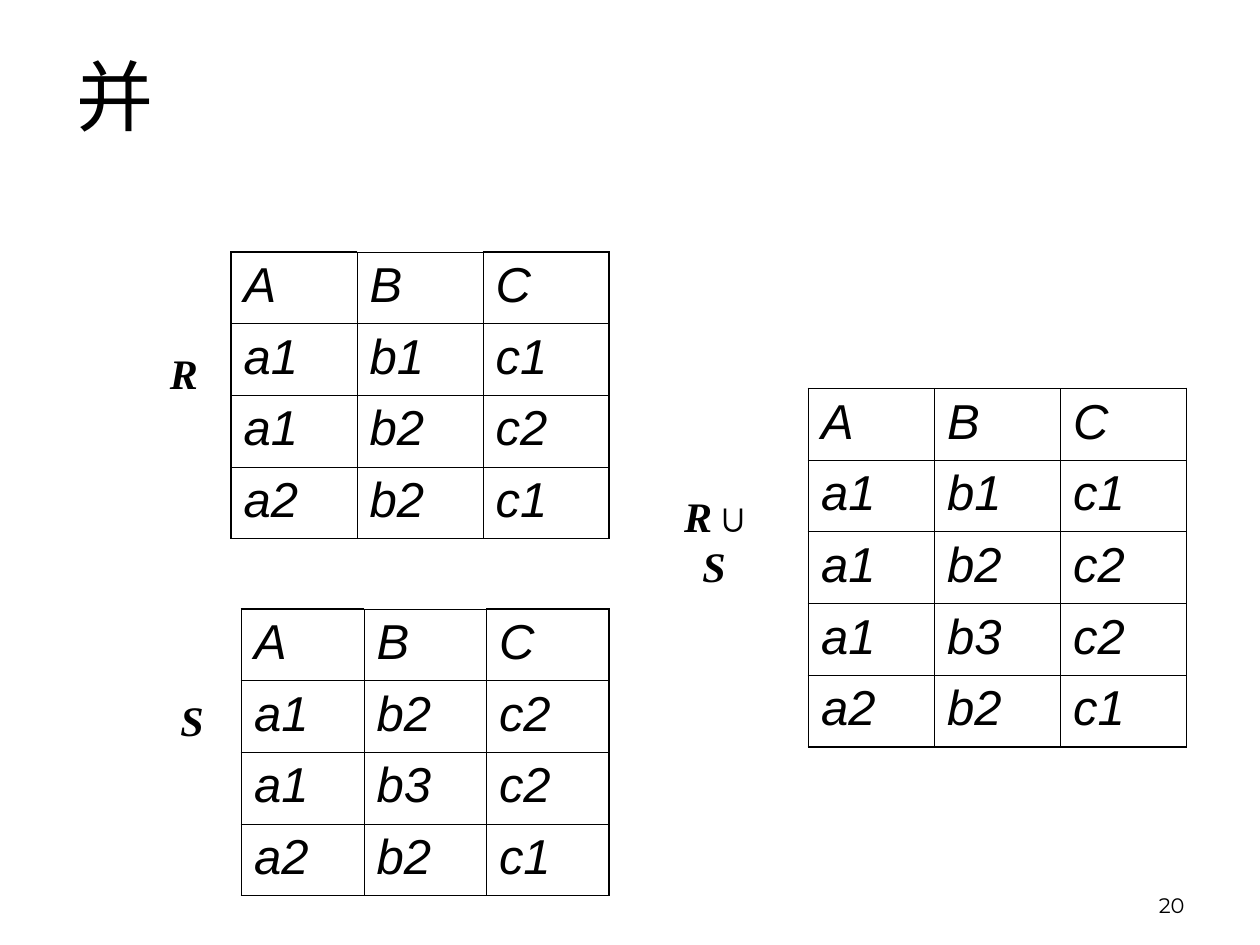
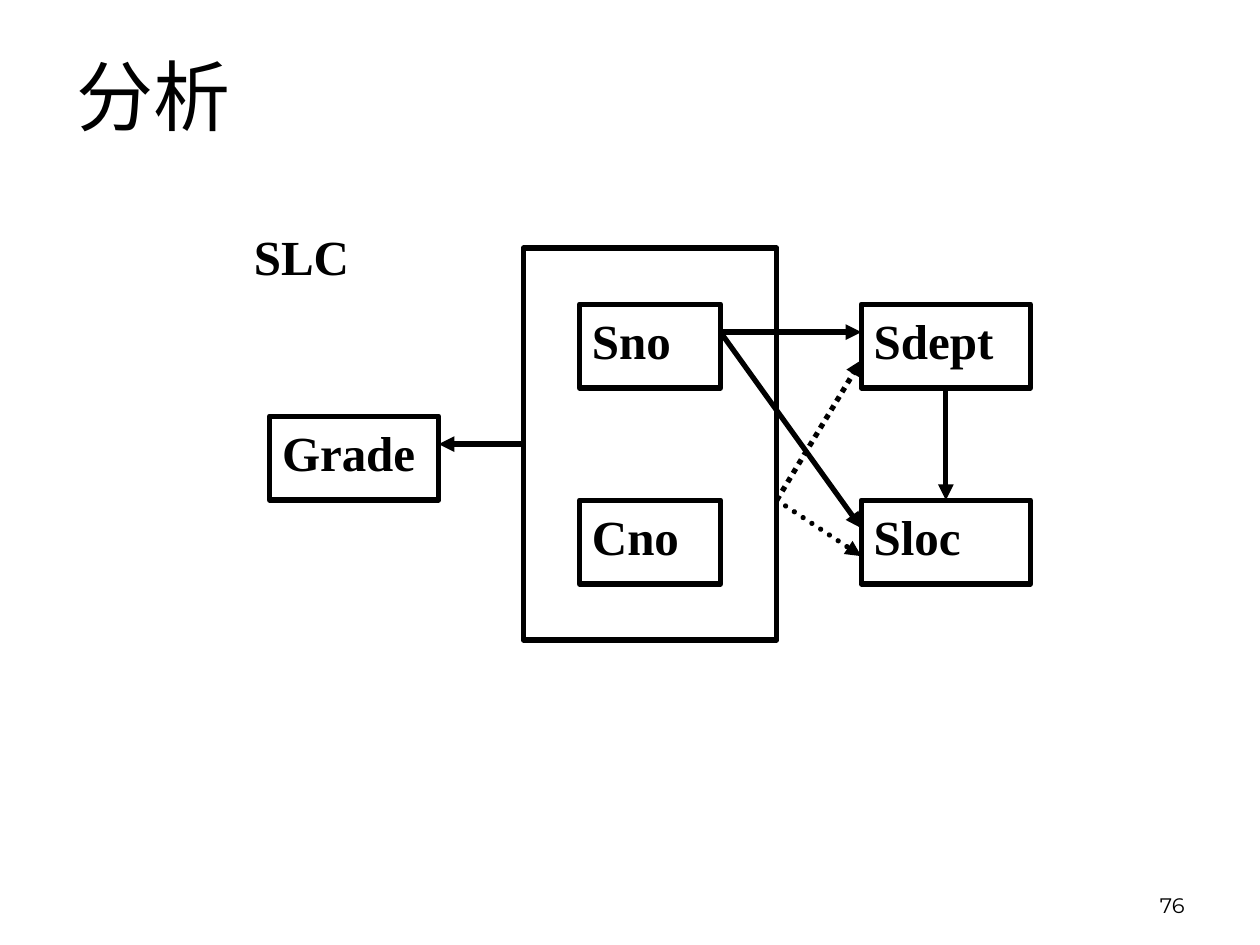
from dataclasses import dataclass

from lxml.etree import SubElement
from pptx import Presentation
from pptx.dml.color import RGBColor
from pptx.enum.dml import MSO_LINE
from pptx.enum.shapes import MSO_CONNECTOR, MSO_SHAPE
from pptx.enum.text import MSO_ANCHOR, PP_ALIGN
from pptx.oxml.ns import qn
from pptx.shapes.autoshape import Shape
from pptx.shapes.connector import Connector
from pptx.slide import Slide
from pptx.table import _Cell
from pptx.text.text import TextFrame
from pptx.util import Pt

COLORS = {"ink": "000000", "page": "FFFFFF"}
SANS, SERIF, PAGE = "Arial", "Times New Roman", "Montserrat"
THIN, THICK = 0.45, 1.08
ROW = 40.95

# Grid of the dependency diagram
LEFT, TOP = 154.1, 141.8
STEP_X, STEP_Y = 16.1, 16


@dataclass
class Relation:
    left: float
    top: float
    col: float
    rows: list[str]


@dataclass
class Label:
    text: str | list[str]
    left: float
    top: float
    width: float


@dataclass
class Node:
    """A box in grid steps."""
    name: str
    col: int
    row: int
    width: int
    height: int = 3


@dataclass
class Arrow:
    """An arrow in grid steps; source and target are (node, side)."""
    start: tuple[int, int]
    end: tuple[int, int]
    source: tuple[str, int] | None = None
    target: tuple[str, int] | None = None
    dotted: bool = False
    cap: str = "flat"


RELATIONS = [
    Relation(132, 144, 72, ["A B C", "a1 b1 c1", "a1 b2 c2", "a2 b2 c1"]),
    Relation(462, 222, 72,
             ["A B C", "a1 b1 c1", "a1 b2 c2", "a1 b3 c2", "a2 b2 c1"]),
    Relation(138, 348, 70, ["A B C", "a1 b2 c2", "a1 b3 c2", "a2 b2 c1"]),
]

LABELS = [
    Label("R", 90, 180, 24),
    Label("S", 96, 378, 24),
    Label(["R", "∪", "S "], 378, 276, 66),
]

NODES = [
    Node("", 9, 0, 9, 14),
    Node("Sno", 11, 2, 5),
    Node("Cno", 11, 9, 5),
    Node("Grade", 0, 6, 6),
    Node("Sdept", 21, 2, 6),
    Node("Sloc", 21, 9, 6),
]

ARROWS = [
    Arrow((9, 7), (6, 7), source=("", 1)),
    Arrow((16, 3), (21, 3)),
    Arrow((16, 3), (21, 10)),
    Arrow((18, 9), (21, 4), dotted=True),
    Arrow((18, 9), (21, 11), dotted=True, cap="rnd"),
    Arrow((24, 5), (24, 9), source=("Sdept", 2), target=("Sloc", 0)),
]


def ink() -> RGBColor:
    return RGBColor.from_string(COLORS["ink"])


def write(frame: TextFrame, text: str | list[str], *, font: str = SERIF,
          size: float = 28, bold: bool = False, italic: bool = False,
          align: PP_ALIGN = PP_ALIGN.LEFT, anchor: MSO_ANCHOR = MSO_ANCHOR.TOP,
          wrap: bool = True) -> None:
    """Fill a frame with one paragraph; the union sign stays upright."""
    frame.word_wrap = wrap
    frame.vertical_anchor = anchor
    para = frame.paragraphs[0]
    para.alignment = align
    for part in [text] if isinstance(text, str) else text:
        run = para.add_run()
        run.text = part
        run.font.name = font
        run.font.size = Pt(size)
        run.font.bold = bold
        run.font.italic = italic and part != "∪"
        run.font.color.rgb = ink()


def add_text(slide: Slide, text: str | list[str], left: float, top: float,
             width: float, height: float, **style) -> None:
    box = slide.shapes.add_textbox(Pt(left), Pt(top), Pt(width), Pt(height))
    write(box.text_frame, text, **style)


def add_slide(deck: Presentation, title: str, number: str) -> Slide:
    slide = deck.slides.add_slide(deck.slide_layouts[6])
    slide.background.fill.solid()
    slide.background.fill.fore_color.rgb = RGBColor.from_string(COLORS["page"])
    add_text(slide, number, 516, 492, 168, 36, font=PAGE, size=12,
             align=PP_ALIGN.RIGHT, anchor=MSO_ANCHOR.BOTTOM)
    add_text(slide, title, 36.5, 0, 648, 108, font=SANS, size=44,
             anchor=MSO_ANCHOR.MIDDLE)
    return slide


def set_edges(cell: _Cell, widths: dict[str, float]) -> None:
    props = cell._tc.get_or_add_tcPr()
    for side, width in widths.items():
        line = SubElement(props, qn(f"a:ln{side}"), w=str(int(Pt(width))))
        fill = SubElement(line, qn("a:solidFill"))
        SubElement(fill, qn("a:srgbClr"), val=COLORS["ink"])


def add_table(slide: Slide, rel: Relation) -> None:
    grid = [row.split() for row in rel.rows]
    count, width = len(grid), len(grid[0])
    table = slide.shapes.add_table(
        count, width, Pt(rel.left), Pt(rel.top),
        Pt(rel.col * width), Pt(ROW * count)).table
    table.first_row = table.horz_banding = False
    for col in table.columns:
        col.width = Pt(rel.col)
    for y, row in enumerate(grid):
        table.rows[y].height = Pt(ROW)
        for x, value in enumerate(row):
            cell = table.cell(y, x)
            first, last = x == 0, x == width - 1
            heavy = {"L": first, "R": last, "T": y == 0 and (first or last),
                     "B": y == count - 1}
            set_edges(cell, {side: THICK if on else THIN
                             for side, on in heavy.items()})
            cell.fill.background()
            write(cell.text_frame, value, font=SANS, italic=True)


def spot(col: float, row: float) -> tuple[Pt, Pt]:
    return Pt(LEFT + col * STEP_X), Pt(TOP + row * STEP_Y)


def add_node(slide: Slide, node: Node) -> Shape:
    box = slide.shapes.add_shape(
        MSO_SHAPE.RECTANGLE, *spot(node.col, node.row),
        Pt(node.width * STEP_X), Pt(node.height * STEP_Y))
    box.shadow.inherit = False
    box.fill.background()
    box.line.color.rgb = ink()
    box.line.width = Pt(3)
    if node.name:
        write(box.text_frame, node.name, bold=True, align=PP_ALIGN.JUSTIFY)
    return box


def add_arrow(slide: Slide, arrow: Arrow, boxes: dict[str, Shape]) -> Connector:
    link = slide.shapes.add_connector(
        MSO_CONNECTOR.STRAIGHT, *spot(*arrow.start), *spot(*arrow.end))
    if arrow.source:
        name, side = arrow.source
        link.begin_connect(boxes[name], side)
    if arrow.target:
        name, side = arrow.target
        link.end_connect(boxes[name], side)
    link.line.color.rgb = ink()
    link.line.width = Pt(3)
    if arrow.dotted:
        link.line.dash_style = MSO_LINE.ROUND_DOT
    props = link._element.spPr
    line = props.find(qn("a:ln"))
    line.set("cap", arrow.cap)
    SubElement(line, qn("a:tailEnd"), type="triangle")
    SubElement(props, qn("a:effectLst"))
    return link


def draw_union(deck: Presentation) -> None:
    slide = add_slide(deck, "并", "20")
    for rel in RELATIONS:
        add_table(slide, rel)
    for label in LABELS:
        add_text(slide, label.text, label.left, label.top, label.width, 66,
                 size=24, bold=True, italic=True, align=PP_ALIGN.CENTER,
                 anchor=MSO_ANCHOR.MIDDLE, wrap=False)


def draw_graph(deck: Presentation) -> None:
    slide = add_slide(deck, "分析", "76")
    boxes = {node.name: add_node(slide, node) for node in NODES}
    for arrow in ARROWS:
        add_arrow(slide, arrow, boxes)
    add_text(slide, "SLC", LEFT - STEP_X, TOP - STEP_Y, 6 * STEP_X, 3 * STEP_Y,
             bold=True, align=PP_ALIGN.JUSTIFY)


def main() -> None:
    deck = Presentation()
    deck.slide_width, deck.slide_height = Pt(720), Pt(540)
    draw_union(deck)
    draw_graph(deck)
    deck.save("out.pptx")


if __name__ == "__main__":
    main()
